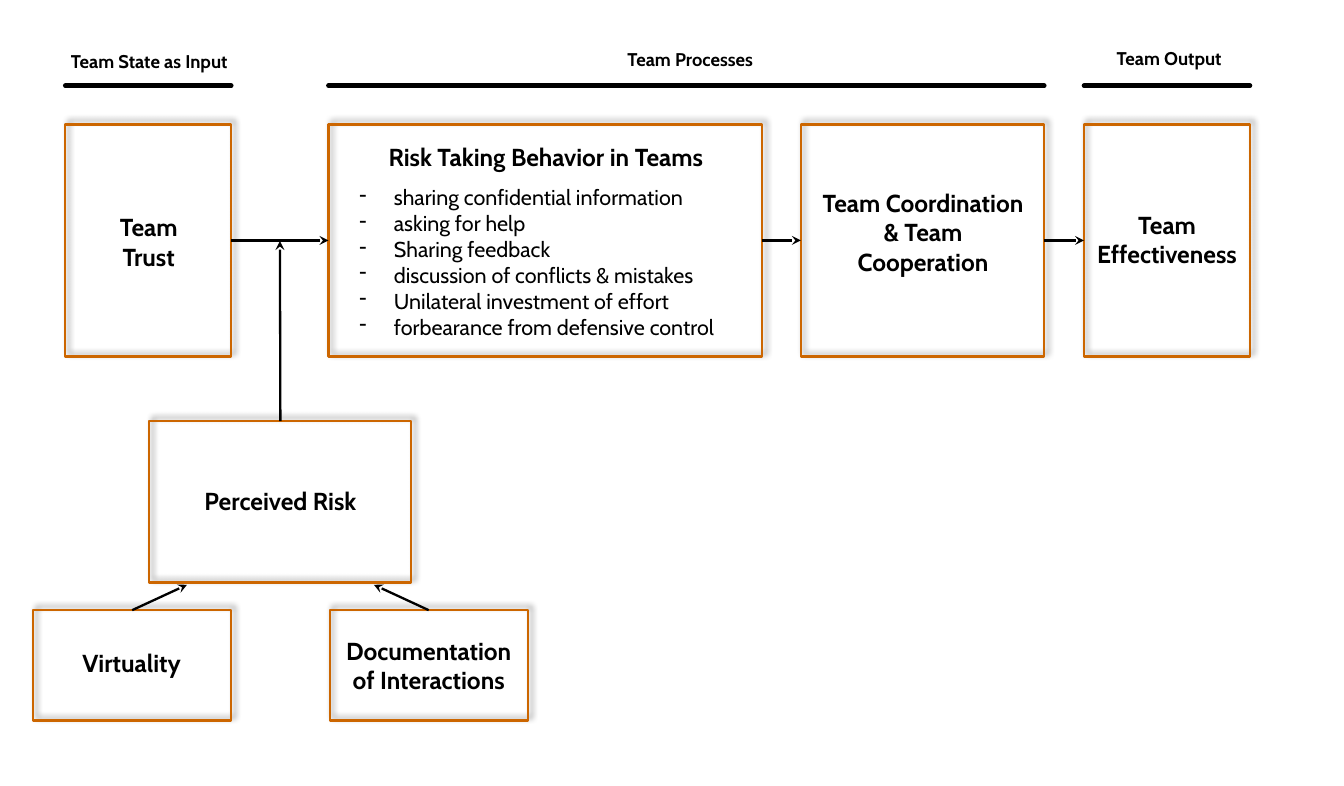
from pptx import Presentation
from pptx.dml.color import RGBColor
from pptx.enum.shapes import MSO_CONNECTOR, MSO_SHAPE
from pptx.enum.text import MSO_AUTO_SIZE, PP_ALIGN
from pptx.oxml.ns import qn
from pptx.util import Pt
from lxml import etree

RECTANGLE = MSO_SHAPE.RECTANGLE
STRAIGHT = MSO_CONNECTOR.STRAIGHT
FIT_TEXT = MSO_AUTO_SIZE.SHAPE_TO_FIT_TEXT
LEFT, CENTER = PP_ALIGN.LEFT, PP_ALIGN.CENTER
TOP_SIDE, LEFT_SIDE, RIGHT_SIDE = 0, 1, 3

COLORS = {"ink": "000000", "border": "CC6600"}
FORMATS = {
    "heading": {"name": "Cabin", "size": Pt(12), "bold": True},
    "title": {"name": "Cabin", "size": Pt(16), "bold": True},
    "item": {"name": "Cabin", "size": Pt(14), "bold": False},
}


class Diagram:
    def __init__(self, slide):
        self.slide = slide

    def color(self, name):
        return RGBColor.from_string(COLORS[name])

    def box(self, left, top, width, height):
        """Outlined rectangle with a soft shadow to the upper right."""
        box = self.slide.shapes.add_shape(
            RECTANGLE, Pt(left), Pt(top), Pt(width), Pt(height))
        box.fill.background()
        box.line.color.rgb = self.color("border")
        box.line.width = Pt(1.5)
        box.shadow.inherit = False
        effects = box._element.spPr.find(qn("a:effectLst"))
        shadow = etree.SubElement(
            effects, qn("a:outerShdw"), blurRad=str(Pt(4)), dist=str(Pt(3)),
            dir=str(315 * 60000), algn="bl", rotWithShape="0")
        tint = etree.SubElement(shadow, qn("a:srgbClr"), val=COLORS["ink"])
        etree.SubElement(tint, qn("a:alpha"), val="40000")
        return box

    def text(self, left, top, width, height, lines, style, bullet=None):
        """Text box with one paragraph for each line."""
        box = self.slide.shapes.add_textbox(
            Pt(left), Pt(top), Pt(width), Pt(height))
        frame = box.text_frame
        frame.word_wrap = True
        frame.auto_size = FIT_TEXT
        for index, line in enumerate(lines):
            para = frame.paragraphs[0] if index == 0 else frame.add_paragraph()
            para.alignment = LEFT if bullet else CENTER
            if bullet:
                properties = para._p.get_or_add_pPr()
                properties.set("marL", str(Pt(22.5)))
                properties.set("indent", str(Pt(-22.5)))
                etree.SubElement(properties, qn("a:buChar"), char=bullet)
            span = para.add_run()
            span.text = line
            for attribute, value in FORMATS[style].items():
                setattr(span.font, attribute, value)
            span.font.color.rgb = self.color("ink")

    def line(self, start, end, width):
        line = self.slide.shapes.add_connector(
            STRAIGHT, Pt(start[0]), Pt(start[1]), Pt(end[0]), Pt(end[1]))
        line.line.color.rgb = self.color("ink")
        line.line.width = Pt(width)
        etree.SubElement(line._element.spPr, qn("a:effectLst"))
        return line

    def bar(self, left, right, top):
        """Thick rule with round ends."""
        bar = self.line((left, top), (right, top), 3)
        bar._element.spPr.find(qn("a:ln")).set("cap", "rnd")

    def arrow(self, source, side, end=(0, 0), target=None):
        """Arrow from a box side to a point or to the left of a target box."""
        arrow = self.line((0, 0), end, 1.5)
        arrow.begin_connect(source, side)
        if target is not None:
            arrow.end_connect(target, LEFT_SIDE)
        outline = arrow._element.spPr.find(qn("a:ln"))
        etree.SubElement(outline, qn("a:tailEnd"), type="stealth")


def main():
    deck = Presentation()
    deck.slide_width, deck.slide_height = Pt(874.8), Pt(511.92)
    page = deck.slides.add_slide(deck.slide_layouts[6])
    diagram = Diagram(page)

    # Boxes: the main row, then the risk factors below
    row_top, row_height = 81, 151.2
    columns = [(42.5, 108), (213.8, 282.2), (521.3, 158.4), (705.6, 108)]
    flow = [diagram.box(left, row_top, width, row_height)
            for left, width in columns]
    perceived_risk = diagram.box(97.2, 274.3, 170.6, 105.1)
    virtuality, documentation = [
        diagram.box(left, 397.4, 128.9, 72) for left in (21.6, 214.6)]

    # Box titles
    titles = [
        (66.2, 134.6, 61.2, 46, "Team Trust"),
        (526.3, 118.8, 149, 65.5, "Team Coordination & Team Cooperation"),
        (702.7, 133.2, 113.8, 46, "Team Effectiveness"),
        (240.5, 88.6, 229.7, 26.6, "Risk Taking Behavior in Teams"),
        (121.7, 313.2, 121.7, 26.6, "Perceived Risk"),
        (41.8, 418.3, 87.8, 26.6, "Virtuality"),
        (214.6, 410.4, 128.9, 46, "Documentation of Interactions"),
    ]
    for *place, title in titles:
        diagram.text(*place, [title], "title")

    # Risk taking behaviors
    diagram.text(226.8, 116.6, 255.6, 108.7, [
        "sharing confidential information",
        "asking for help",
        "Sharing feedback",
        "discussion of conflicts & mistakes",
        "Unilateral investment of effort",
        "forbearance from defensive control",
    ], "item", bullet="-")

    # Phase headings, each over a bar spanning its columns
    phases = [
        (36, 28.8, 122.4, "Team State as Input", 0, 0),
        (388.1, 28.1, 122.4, "Team Processes", 1, 2),
        (717.8, 27.4, 86.4, "Team Output", 3, 3),
    ]
    for left, top, width, heading, first, last in phases:
        diagram.bar(columns[first][0], sum(columns[last]), 55.8)
        diagram.text(left, top, width, 21.6, [heading], "heading")

    # Arrows along the row, then up from the risk factors
    for source, target in zip(flow, flow[1:]):
        diagram.arrow(source, RIGHT_SIDE, target=target)
    diagram.arrow(perceived_risk, TOP_SIDE, (182.2, 157))
    diagram.arrow(virtuality, TOP_SIDE, (121.7, 380.9))
    diagram.arrow(documentation, TOP_SIDE, (243.4, 380.9))

    deck.save("out.pptx")


if __name__ == "__main__":
    main()
